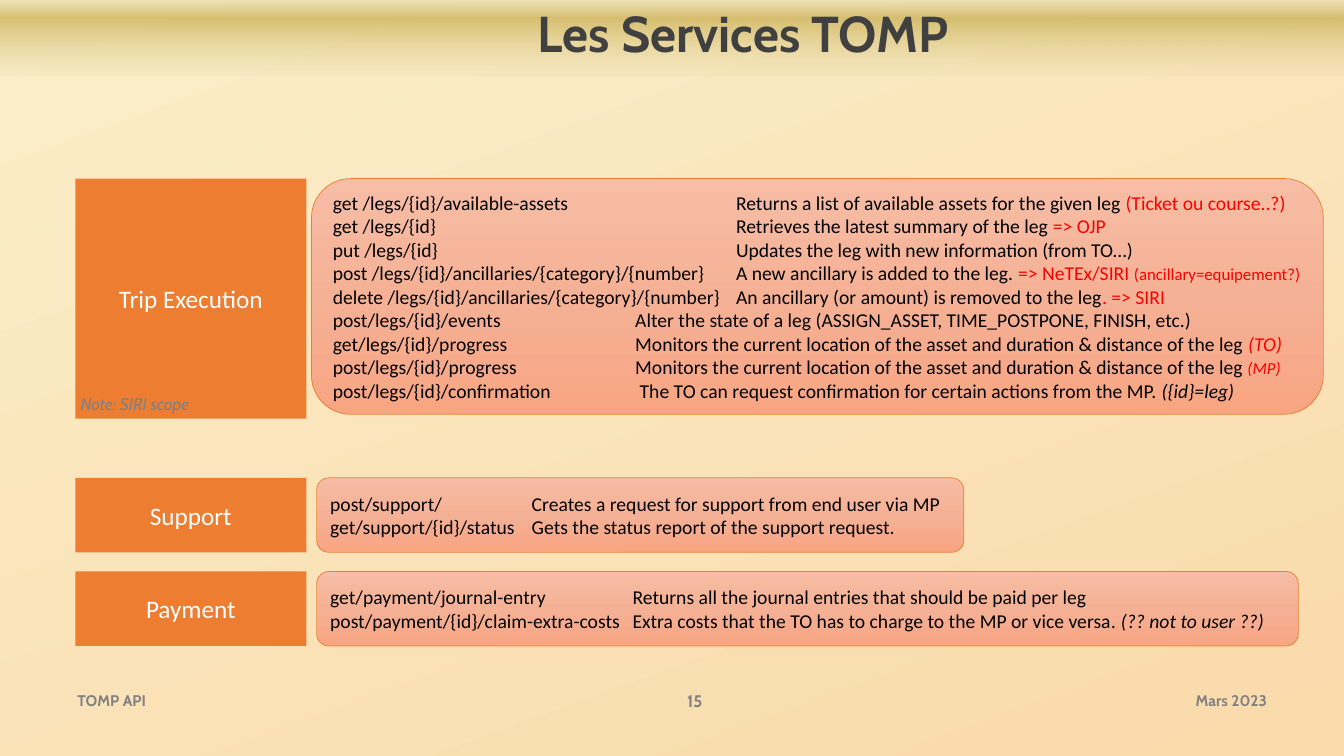
import dataclasses
import typing

import lxml.etree
import pptx
import pptx.dml.color
import pptx.enum.shapes
import pptx.enum.text
import pptx.oxml
import pptx.oxml.ns
import pptx.util

Cm = pptx.util.Cm
Pt = pptx.util.Pt
qn = pptx.oxml.ns.qn
Align = pptx.enum.text.PP_ALIGN
Anchor = pptx.enum.text.MSO_ANCHOR
Kind = pptx.enum.shapes.MSO_SHAPE


@dataclasses.dataclass(frozen=True)
class Theme:
    head: str = "Cabin"
    body: str = "Calibri"
    dark: str = "404040"
    gray: str = "808080"
    orange: str = "ED7D31"
    white: str = "FFFFFF"
    black: str = "000000"
    red: str = "FF0000"
    title: float = 36
    label: float = 18
    text: float = 14
    small: float = 12
    foot: float = 11
    back: tuple = ((0, "FBEEC9", 100), (100, "F9DAAB", 100))
    gold: tuple = ((0, "E6DCAC", 55), (24, "C7AC4C", 70), (100, "E6DCAC", 17))
    peach: tuple = ((0, "F7BDA5", 100), (50, "F5B196", 100), (100, "F8A582", 100))


T = Theme()


class Box(typing.NamedTuple):
    left: float
    top: float
    width: float
    height: float


class Bit(typing.NamedTuple):
    text: str
    color: str = T.black
    size: float = T.text
    ital: bool = False


class Line(typing.NamedTuple):
    tab: float
    bits: list[Bit]


class Group(typing.NamedTuple):
    name: str
    top: float
    height: float
    panel: Box
    lines: list[Line]


class Note(typing.NamedTuple):
    text: str
    box: Box
    align: Align
    size: float = T.foot
    bold: bool = True
    ital: bool = False
    wrap: bool = True
    anchor: Anchor = Anchor.MIDDLE


FAR, MID, NEAR = 10.16, 7.62, 5.08
TRIP = [
    Line(FAR, [Bit("get /legs/{id}/available-assets\tReturns a list of available assets for the given leg "),
               Bit("(Ticket ou course..?)", T.red)]),
    Line(FAR, [Bit("get /legs/{id}\tRetrieves the latest summary of the leg "), Bit("=> OJP", T.red)]),
    Line(FAR, [Bit("put /legs/{id}\tUpdates the leg with new information (from TO…)")]),
    Line(FAR, [Bit("post /legs/{id}/ancillaries/{category}/{number}\tA new ancillary is added to the leg."),
               Bit(" => NeTEx/SIRI ", T.red), Bit("(ancillary=equipement?)", T.red, T.small)]),
    Line(FAR, [Bit("delete /legs/{id}/ancillaries/{category}/{number}\tAn ancillary (or amount) is removed to the leg"),
               Bit(". => SIRI", T.red)]),
    Line(MID, [Bit("post/legs/{id}/events\tAlter the state of a leg (ASSIGN_ASSET, TIME_POSTPONE, FINISH, etc.)")]),
    Line(MID, [Bit("get/legs/{id}/progress\tMonitors the current location of the asset and duration & distance of the leg "),
               Bit("(TO)", T.red, ital=True)]),
    Line(MID, [Bit("post/legs/{id}/progress\tMonitors the current location of the asset and duration & distance of the leg"),
               Bit(" (MP)", T.red, T.small, True)]),
    Line(MID, [Bit("post/legs/{id}/confirmation\t The TO can request confirmation for certain actions from the MP. "),
               Bit("({id}=leg)", ital=True)]),
]
HELP = [
    Line(NEAR, [Bit("post/support/\tCreates a request for support from end user via MP")]),
    Line(NEAR, [Bit("get/support/{id}/status\tGets the status report of the support request.")]),
]
PAY = [
    Line(MID, [Bit("get/payment/journal-entry\tReturns all the journal entries that should be paid per leg")]),
    Line(MID, [Bit("post/payment/{id}/claim-extra-costs\tExtra costs that the TO has to charge to the MP or vice versa"),
               Bit(". (?? not to user ??)", ital=True)]),
]
GROUPS = [
    Group("Trip Execution", 4.5, 6.05, Box(7.85, 4.5, 25.5, 5.94), TRIP),
    Group("Support", 12.04, 1.88, Box(7.98, 12.04, 16.31, 1.88), HELP),
    Group("Payment", 14.4, 1.88, Box(7.98, 14.4, 24.74, 1.88), PAY),
]
NOTES = [
    Note("TOMP API", Box(1.7, 17.15, 12.42, 1.02), Align.LEFT),
    Note("15", Box(14.12, 17.15, 6.78, 1.02), Align.CENTER, T.small),
    Note("Mars 2023", Box(22.86, 17.15, 9.32, 1.02), Align.RIGHT),
    Note("Note: SIRI scope", Box(1.78, 9.8, 3.61, 0.76), Align.LEFT, T.small, False, True, False, Anchor.TOP),
]


def place(box: Box) -> list[int]:
    return [Cm(side) for side in box]


def tint(code: str) -> pptx.dml.color.RGBColor:
    return pptx.dml.color.RGBColor.from_string(code)


def write(para, text: str, *, font: str = T.body, size: float = T.text,
          color: str = T.black, bold: bool = False, ital: bool = False) -> None:
    run = para.add_run()
    run.text = text
    run.font.name = font
    run.font.size = Pt(size)
    run.font.bold = bold
    run.font.italic = ital
    run.font.color.rgb = tint(color)


def blend(fill, root, stops: tuple, angle: int) -> None:
    fill.gradient()
    old = next(root.iter(qn("a:gradFill")))
    marks = "".join(
        f'<a:gs pos="{pos * 1000}"><a:srgbClr val="{code}"><a:alpha val="{alpha * 1000}"/></a:srgbClr></a:gs>'
        for pos, code, alpha in stops)
    new = pptx.oxml.parse_xml(
        f'<a:gradFill {pptx.oxml.ns.nsdecls("a")} rotWithShape="1"><a:gsLst>{marks}</a:gsLst>'
        f'<a:lin ang="{angle * 60000}" scaled="0"/></a:gradFill>')
    old.getparent().replace(old, new)


def draw(slide, kind: Kind, box: Box):
    shape = slide.shapes.add_shape(kind, *place(box))
    shape.shadow.inherit = False
    shape.line.fill.background()
    shape.text_frame.word_wrap = True
    shape.text_frame.vertical_anchor = Anchor.MIDDLE
    return shape


def add_bar(slide) -> None:
    bar = draw(slide, Kind.RECTANGLE, Box(0, 0, 33.87, 1.93))
    blend(bar.fill, bar._element, T.gold, 90)
    glow = lxml.etree.SubElement(next(bar._element.iter(qn("a:effectLst"))), qn("a:outerShdw"),
                                 blurRad=str(Pt(5)), dist=str(Pt(4)), dir="5400000", rotWithShape="0")
    ink = lxml.etree.SubElement(glow, qn("a:srgbClr"), val=T.black)
    lxml.etree.SubElement(ink, qn("a:alpha"), val="20000")
    slide.shapes._spTree.insert(2, bar._element)


def add_title(slide) -> None:
    title = slide.shapes.title
    title.left, title.top, title.width, title.height = place(Box(4.8, -0.08, 27.86, 1.6))
    frame = title.text_frame
    frame.auto_size = pptx.enum.text.MSO_AUTO_SIZE.NONE
    frame.vertical_anchor = Anchor.TOP
    frame.paragraphs[0].alignment = Align.CENTER
    write(frame.paragraphs[0], "Les Services TOMP", font=T.head, size=T.title, color=T.dark, bold=True)


def add_group(slide, group: Group) -> None:
    label = draw(slide, Kind.RECTANGLE, Box(1.9, group.top, 5.82, group.height))
    label.fill.solid()
    label.fill.fore_color.rgb = tint(T.orange)
    para = label.text_frame.paragraphs[0]
    para.alignment = Align.CENTER
    write(para, group.name, size=T.label, color=T.white)

    panel = draw(slide, Kind.ROUNDED_RECTANGLE, group.panel)
    blend(panel.fill, panel._element, T.peach, 90)
    panel.line.color.rgb = tint(T.orange)
    panel.line.width = Pt(0.5)
    frame = panel.text_frame
    for spot, line in enumerate(group.lines):
        para = frame.add_paragraph() if spot else frame.paragraphs[0]
        para.alignment = Align.LEFT
        tabs = lxml.etree.SubElement(para._p.get_or_add_pPr(), qn("a:tabLst"))
        lxml.etree.SubElement(tabs, qn("a:tab"), pos=str(Cm(line.tab)), algn="l")
        for bit in line.bits:
            write(para, bit.text, size=bit.size, color=bit.color, ital=bit.ital)


def add_note(slide, note: Note) -> None:
    frame = slide.shapes.add_textbox(*place(note.box)).text_frame
    frame.word_wrap = note.wrap
    frame.vertical_anchor = note.anchor
    para = frame.paragraphs[0]
    para.alignment = note.align
    write(para, note.text, font=T.head, size=note.size, color=T.gray, bold=note.bold, ital=note.ital)


def main() -> None:
    deck = pptx.Presentation()
    deck.slide_width, deck.slide_height = Cm(33.87), Cm(19.05)
    slide = deck.slides.add_slide(deck.slide_layouts[5])
    blend(slide.background.fill, slide._element, T.back, 70)
    add_bar(slide)
    add_title(slide)
    for group in GROUPS:
        add_group(slide, group)
    for note in NOTES:
        add_note(slide, note)
    deck.save("out.pptx")


if __name__ == "__main__":
    main()
